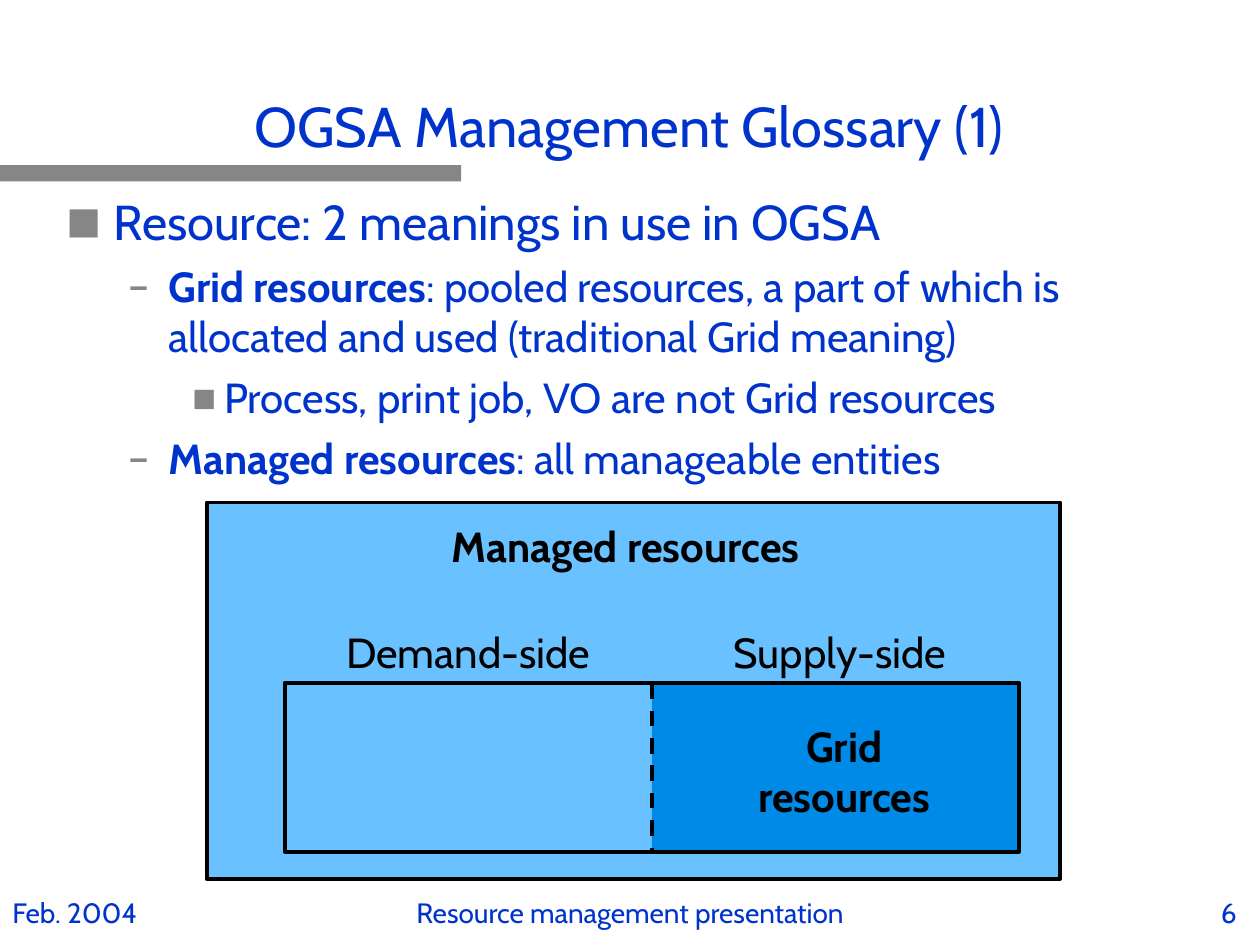
from lxml import etree
from pptx import Presentation
from pptx.dml.color import RGBColor
from pptx.enum import dml, shapes, text
from pptx.oxml import ns
from pptx.util import Cm, Pt

FONT = "Cabin"
BLUE = RGBColor(0x00, 0x33, 0xCC)
GRAY = RGBColor(0x86, 0x86, 0x86)
LIGHT_BLUE = RGBColor(0x69, 0xC2, 0xFF)
MID_BLUE = RGBColor(0x00, 0x8A, 0xE8)
BLACK = RGBColor(0x00, 0x00, 0x00)

LEFT, CENTER, RIGHT = text.PP_ALIGN.LEFT, text.PP_ALIGN.CENTER, text.PP_ALIGN.RIGHT

# level: (left margin cm, hanging cm, bullet, bullet size %, text size, space before)
LEVELS = [
    (0.95, 0.95, "■", 75, 28, 0),
    (2.06, 0.8, "–", 100, 24, 6),
    (3.18, 0.64, "■", 60, 24, 6),
]
# (level, bold lead-in, plain text)
BULLETS = [
    (0, "", "Resource: 2 meanings in use in OGSA"),
    (1, "Grid resources", ": pooled resources, a part of which is allocated "
                          "and used (traditional Grid meaning)"),
    (2, "", "Process, print job, VO are not Grid resources"),
    (1, "Managed resources", ": all manageable entities"),
]


def add_span(para, words, size, color, bold=False):
    span = para.add_run()
    span.text = words
    span.font.name = FONT
    span.font.size = Pt(size)
    span.font.bold = bold
    span.font.color.rgb = color


def add_box(slide, left, top, width, height):
    box = slide.shapes.add_textbox(Cm(left), Cm(top), Cm(width), Cm(height))
    box.text_frame.word_wrap = True
    return box.text_frame


def add_label(slide, place, lines, size=24, color=BLACK, bold=False, align=CENTER):
    frame = add_box(slide, *place)
    for index, line in enumerate(lines):
        para = frame.add_paragraph() if index else frame.paragraphs[0]
        para.alignment = align
        add_span(para, line, size, color, bold)


def add_rectangle(slide, place, fill=None, outlined=False):
    shape = slide.shapes.add_shape(shapes.MSO_SHAPE.RECTANGLE, *map(Cm, place))
    shape.shadow.inherit = False
    if fill is None:
        shape.fill.background()
    else:
        shape.fill.solid()
        shape.fill.fore_color.rgb = fill
    if outlined:
        shape.line.color.rgb = BLACK
        shape.line.width = Pt(2.25)
    else:
        shape.line.fill.background()


def add_divider(slide, x, top, bottom):
    line = slide.shapes.add_connector(
        shapes.MSO_CONNECTOR.STRAIGHT, Cm(x), Cm(top), Cm(x), Cm(bottom))
    line.line.color.rgb = BLACK
    line.line.width = Pt(2.25)
    line.line.dash_style = dml.MSO_LINE.DASH
    etree.SubElement(line._element.spPr, ns.qn("a:effectLst"))


def set_bullet(para, margin, hanging, char, percent):
    props = para._p.get_or_add_pPr()
    props.set("marL", str(Cm(margin)))
    props.set("indent", str(-Cm(hanging)))
    color = etree.SubElement(props, ns.qn("a:buClr"))
    etree.SubElement(color, ns.qn("a:srgbClr"), val=str(GRAY))
    etree.SubElement(props, ns.qn("a:buSzPct"), val=str(percent * 1000))
    etree.SubElement(props, ns.qn("a:buFont"), typeface=FONT)
    etree.SubElement(props, ns.qn("a:buChar"), char=char)


def add_bullets(slide):
    frame = add_box(slide, 1.09, 3.73, 23.22, 6.6)
    for index, (level, lead, rest) in enumerate(BULLETS):
        para = frame.add_paragraph() if index else frame.paragraphs[0]
        margin, hanging, char, percent, size, before = LEVELS[level]
        para.level = level
        set_bullet(para, margin, hanging, char, percent)
        para.space_before = Pt(before)
        if lead:
            add_span(para, lead, size, BLUE, bold=True)
        add_span(para, rest, size, BLUE)


def set_title(slide, words):
    title = slide.shapes.title
    title.left, title.top, title.width, title.height = map(Cm, (0.64, 1.27, 24.08, 2.06))
    frame = title.text_frame
    frame.auto_size = text.MSO_AUTO_SIZE.NONE
    frame.vertical_anchor = text.MSO_ANCHOR.BOTTOM
    para = frame.paragraphs[0]
    para.alignment = CENTER
    add_span(para, words, 32, BLUE)


def add_diagram(slide):
    left, top, half, height = 5.74, 13.77, 7.4, 3.4
    middle = left + half
    add_rectangle(slide, (4.17, 10.13, 17.2, 7.59), LIGHT_BLUE, outlined=True)
    add_label(slide, (7.44, 10.36, 10.34, 1.27), ["Managed resources"], bold=True)
    add_label(slide, (6.48, 12.5, 5.92, 1.27), ["Demand-side"])
    add_label(slide, (13.97, 12.5, 5.92, 1.27), ["Supply-side"])
    add_rectangle(slide, (middle, top, half, height), MID_BLUE)
    add_label(slide, (14.15, 14.4, 5.74, 2.29), ["Grid", "resources"], bold=True)
    add_divider(slide, middle, top, top + height)
    add_rectangle(slide, (left, top, 2 * half, height), outlined=True)


def add_footer(slide):
    for left, width, words, align in [
        (0, 5.72, "Feb. 2004", LEFT),
        (4.5, 16.41, "Resource management presentation", CENTER),
        (19.69, 5.49, "6", RIGHT),
    ]:
        add_label(slide, (left, 17.92, width, 1.12), [words], 16, BLUE, align=align)


def main():
    deck = Presentation()
    deck.slide_width, deck.slide_height = Cm(25.4), Cm(19.05)
    page = deck.slides.add_slide(deck.slide_layouts[5])
    add_rectangle(page, (0, 3.33, 9.3, 0.33), GRAY)
    set_title(page, "OGSA Management Glossary (1)")
    add_bullets(page)
    add_diagram(page)
    add_footer(page)
    deck.save("out.pptx")


if __name__ == "__main__":
    main()
